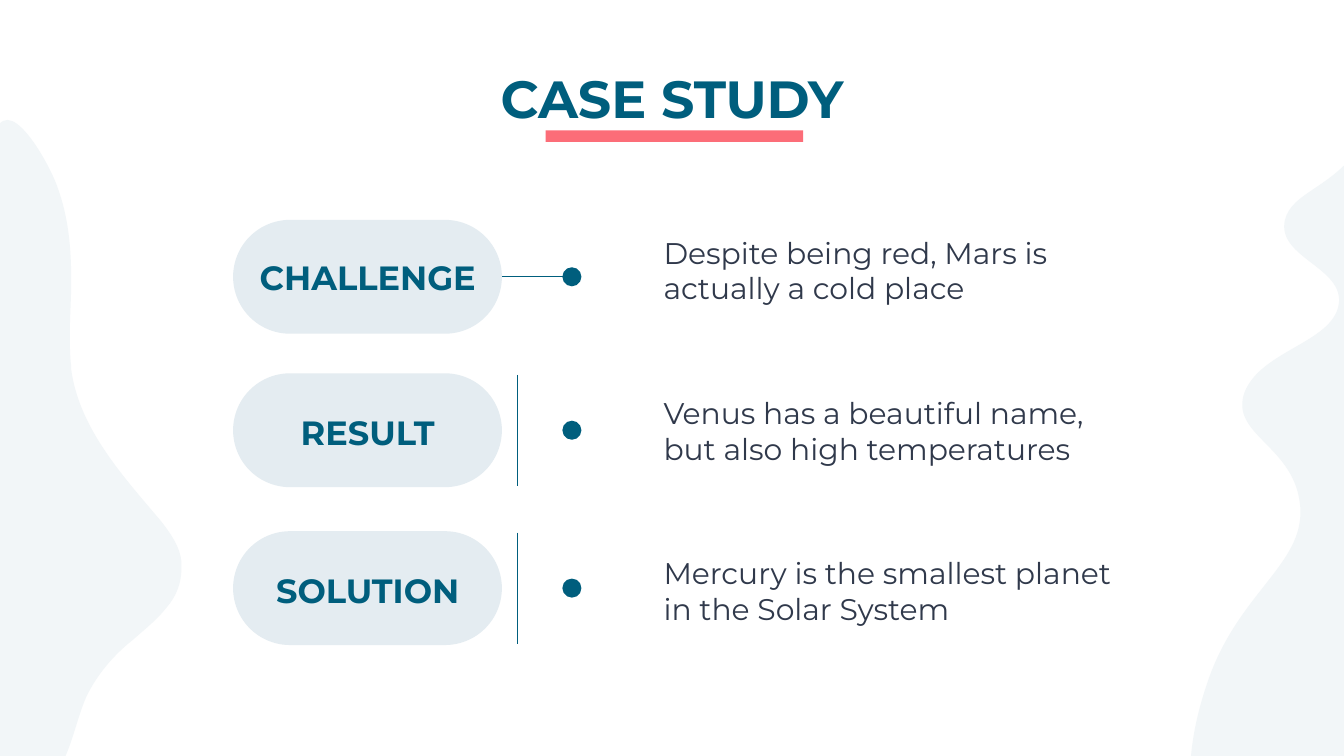
"""Build a case study slide with three labelled rows between soft side blobs."""
from typing import NamedTuple

from lxml.etree import SubElement
from pptx import Presentation
from pptx.dml.color import RGBColor
from pptx.enum.shapes import MSO_CONNECTOR, MSO_SHAPE
from pptx.enum.text import MSO_ANCHOR, PP_ALIGN
from pptx.oxml.ns import qn
from pptx.util import Pt

TEAL = RGBColor(0x00, 0x5E, 0x7D)
CORAL = RGBColor(0xFC, 0x6D, 0x78)
SLATE = RGBColor(0x30, 0x39, 0x4B)
MIST = RGBColor(0xE4, 0xEC, 0xF1)
PALE = RGBColor(0xF2, 0xF6, 0xF8)
FONT = "Montserrat"
UNIT = 0.72
PILL_X, PILL_W, PILL_H = 124.9, 144, 61
DOT_X, DOT = 301.3, 10.2


class Row(NamedTuple):
    label: str
    body: str
    top: float
    label_y: float
    body_y: float
    flat: bool


class Blob(NamedTuple):
    start: tuple
    curves: list


ROWS = [
    Row("CHALLENGE", "Despite being red, Mars is actually a cold place",
        117.8, 130.3, 118.3, True),
    Row("RESULT", "Venus has a beautiful name, but also high temperatures",
        200, 213.4, 204.2, False),
    Row("SOLUTION", "Mercury is the smallest planet in the Solar System",
        284.6, 298.1, 290.2, False),
]

BLOBS = [
    Blob((-17, 376), [
        (-17, 428, -15, 480, -11, 531), (-10, 543, -9, 554, -5, 565),
        (0, 575, 8, 584, 18, 585), (31, 587, 43, 575, 49, 562),
        (55, 548, 58, 533, 64, 519), (72, 502, 85, 487, 99, 476),
        (108, 468, 117, 461, 124, 452), (131, 444, 135, 434, 135, 423),
        (135, 421, 135, 420, 135, 418), (134, 407, 127, 397, 120, 388),
        (94, 357, 59, 320, 53, 275), (53, 274, 53, 274, 53, 273),
        (52, 265, 52, 256, 52, 248), (52, 235, 53, 222, 53, 209),
        (53, 185, 51, 162, 43, 140), (38, 124, 4, 61, -5, 104),
        (-10, 127, -10, 150, -11, 173), (-14, 241, -17, 309, -17, 376),
    ]),
    Blob((1059, 38), [
        (1051, 41, 1044, 44, 1038, 50), (1020, 66, 1031, 78, 1015, 104),
        (994, 140, 961, 142, 956, 164), (950, 192, 1001, 199, 996, 227),
        (991, 255, 938, 261, 926, 292), (915, 323, 961, 331, 967, 373),
        (974, 419, 921, 439, 898, 509), (893, 524, 866, 604, 912, 638),
        (959, 672, 1059, 637, 1133, 610), (1135, 609, 1138, 608, 1143, 607),
        (1159, 601, 1301, 547, 1296, 509), (1293, 489, 1252, 491, 1247, 466),
        (1244, 446, 1269, 436, 1276, 401), (1282, 374, 1267, 372, 1271, 346),
        (1278, 298, 1335, 287, 1333, 241), (1333, 234, 1332, 229, 1330, 224),
        (1319, 198, 1284, 194, 1269, 150), (1248, 91, 1295, 40, 1266, 24),
        (1249, 15, 1234, 32, 1174, 31), (1140, 31, 1132, 26, 1101, 29),
        (1087, 31, 1072, 33, 1059, 38),
    ]),
]


def paint(shape, color: RGBColor) -> None:
    shape.shadow.inherit = False
    shape.fill.solid()
    shape.fill.fore_color.rgb = color
    shape.line.fill.background()


def add_form(slide, kind, x: float, y: float, w: float, h: float,
             color: RGBColor):
    shape = slide.shapes.add_shape(kind, Pt(x), Pt(y), Pt(w), Pt(h))
    paint(shape, color)
    return shape


def place(x: float, y: float) -> tuple:
    return Pt(x * UNIT), Pt(y * UNIT)


def add_blob(slide, blob: Blob) -> None:
    pen = slide.shapes.build_freeform(*place(*blob.start))
    pen.add_line_segments([place(*c[4:]) for c in blob.curves], close=True)
    shape = pen.convert_to_shape()
    paint(shape, PALE)
    sides = list(shape._element.iter(qn("a:lnTo")))
    for side, curve in zip(sides, blob.curves):
        bend = SubElement(side.getparent(), qn("a:cubicBezTo"))
        for i in (0, 2, 4):
            x, y = place(*curve[i:i + 2])
            SubElement(bend, qn("a:pt"), x=str(x - shape.left),
                       y=str(y - shape.top))
        side.getparent().replace(side, bend)


def add_line(slide, x1: float, y1: float, x2: float, y2: float) -> None:
    line = slide.shapes.add_connector(
        MSO_CONNECTOR.STRAIGHT, Pt(x1), Pt(y1), Pt(x2), Pt(y2))
    line.line.color.rgb = TEAL
    line.line.width = Pt(0.75)
    SubElement(line._element.spPr, qn("a:effectLst"))


def add_text(slide, text: str, x: float, y: float, w: float, h: float,
             size: float, color: RGBColor, head: bool) -> None:
    frame = slide.shapes.add_textbox(Pt(x), Pt(y), Pt(w), Pt(h)).text_frame
    frame.word_wrap = True
    frame.vertical_anchor = MSO_ANCHOR.TOP
    frame.margin_left = frame.margin_right = Pt(7.2)
    frame.margin_top = frame.margin_bottom = Pt(7.2)
    para = frame.paragraphs[0]
    para.alignment = PP_ALIGN.CENTER if head else PP_ALIGN.LEFT
    run = para.add_run()
    run.text = text
    run.font.name = FONT
    run.font.size = Pt(size)
    run.font.bold = head
    run.font.color.rgb = color


def add_row(slide, row: Row) -> None:
    mid = row.top + PILL_H / 2
    if row.flat:
        add_line(slide, 307.4, mid - 0.2, 261.4, mid - 0.2)
    else:
        add_line(slide, 277.2, row.top + 0.8, 277.2, row.top + 60.6)
    add_form(slide, MSO_SHAPE.OVAL, DOT_X, mid - DOT / 2, DOT, DOT, TEAL)
    pill = add_form(slide, MSO_SHAPE.ROUNDED_RECTANGLE, PILL_X, row.top,
                    PILL_W, PILL_H, MIST)
    pill.adjustments[0] = 0.5
    add_text(slide, row.label, 129.7, row.label_y, 134.6, 35.3, 18, TEAL, True)
    add_text(slide, row.body, 348.4, row.body_y, 270.7, 51.1, 16, SLATE, False)


def main() -> None:
    deck = Presentation()
    deck.slide_width, deck.slide_height = Pt(720), Pt(405)
    slide = deck.slides.add_slide(deck.slide_layouts[6])
    for blob in BLOBS:
        add_blob(slide, blob)
    for row in ROWS:
        add_row(slide, row)
    add_form(slide, MSO_SHAPE.RECTANGLE, 292.3, 69.8, 138, 6.2, CORAL)
    add_text(slide, "CASE STUDY", 56.5, 28.1, 607, 45.4, 28, TEAL, True)
    deck.save("out.pptx")


if __name__ == "__main__":
    main()
